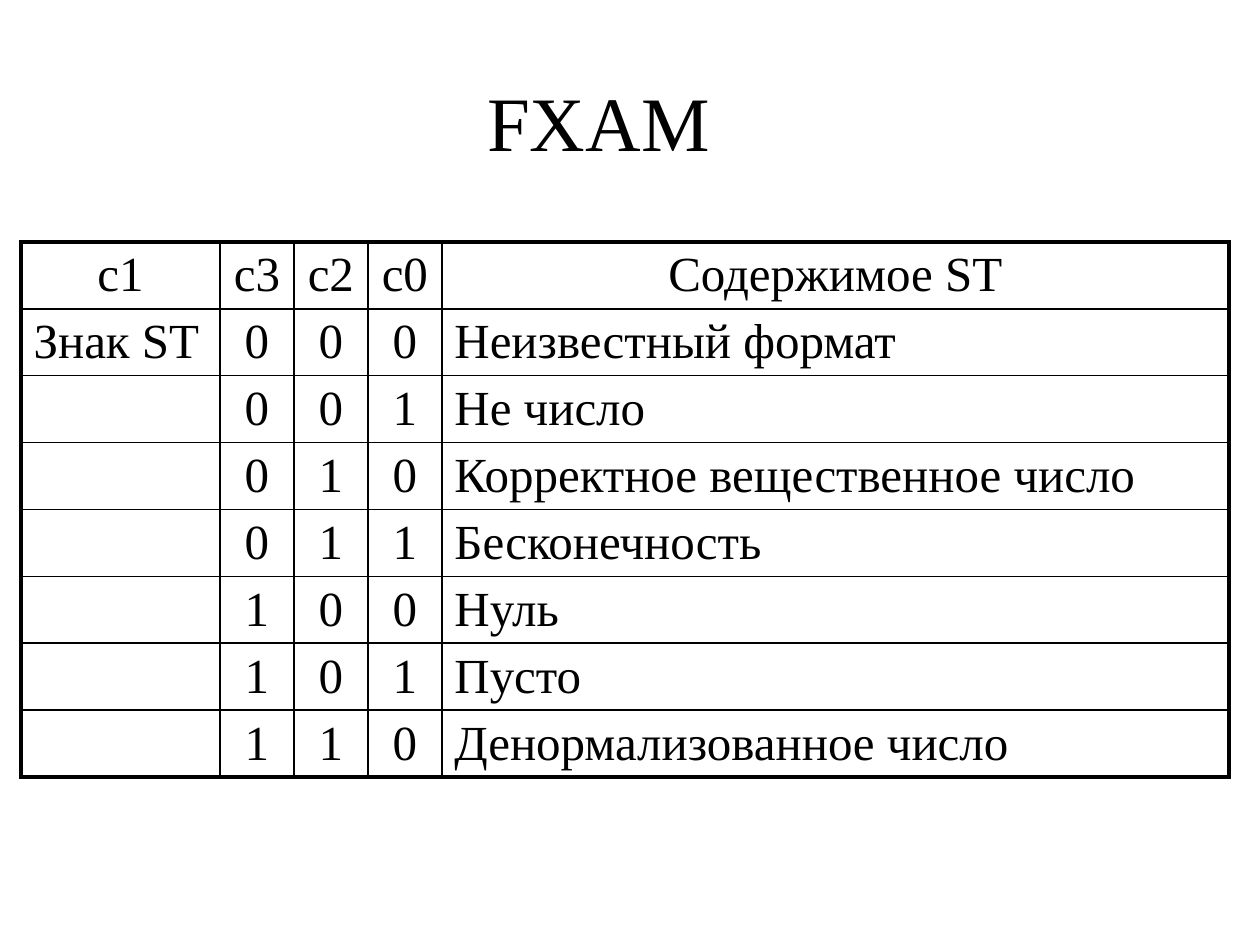
from lxml import etree
from pptx import Presentation
from pptx.dml.color import RGBColor
from pptx.enum.text import MSO_ANCHOR, PP_ALIGN
from pptx.oxml.ns import qn
from pptx.util import Pt

PX = 914400 / 126
CENTER, LEFT = PP_ALIGN.CENTER, PP_ALIGN.LEFT
MIDDLE = MSO_ANCHOR.MIDDLE
TITLE_ONLY = 5

HEADER = ["c1", "c3", "c2", "c0", "Содержимое ST"]
CONTENTS = ["Неизвестный формат", "Не число", "Корректное вещественное число",
            "Бесконечность", "Нуль", "Пусто", "Денормализованное число"]
COLUMN_WIDTHS = [199, 74, 74, 74, 787]
ROW_HEIGHT = 63


def px(length):
    return round(length * PX)


def color(value):
    return RGBColor.from_string(value)


def condition_rows():
    """Header, then one row per content with its number as three bits."""
    rows = [HEADER]
    for code, content in enumerate(CONTENTS):
        sign = "Знак ST" if code == 0 else ""
        rows.append([sign, *f"{code:03b}", content])
    return rows


class SlideBuilder:
    font = "Times New Roman"
    ink = "000000"
    paper = "FFFFFF"
    title_size, cell_size = 44, 28
    outer_line, inner_line = 2.25, 1

    def __init__(self, page):
        self.page = page

    def set_text(self, frame, text, size, align):
        para = frame.paragraphs[0]
        para.alignment = align
        if not text:
            return
        span = para.add_run()
        span.text = text
        span.font.color.rgb = color(self.ink)
        for name, value in {"name": self.font, "size": Pt(size), "bold": False}.items():
            setattr(span.font, name, value)

    def title(self, text, left, top, width, height):
        box = self.page.shapes.title
        place = {"left": left, "top": top, "width": width, "height": height}
        for name, value in place.items():
            setattr(box, name, px(value))
        box.text_frame.vertical_anchor = MIDDLE
        self.set_text(box.text_frame, text, self.title_size, CENTER)

    def borders(self, cell, edges):
        """Draw the cell sides; edges tells for each side if it is on the outside."""
        properties = cell._tc.get_or_add_tcPr()
        for side, outside in edges.items():
            width = self.outer_line if outside else self.inner_line
            line = etree.SubElement(properties, qn(f"a:ln{side}"), w=str(Pt(width)))
            fill = etree.SubElement(line, qn("a:solidFill"))
            etree.SubElement(fill, qn("a:srgbClr"), val=self.ink)

    def table(self, rows, left, top, widths, row_height):
        last_row, last_column = len(rows) - 1, len(widths) - 1
        frame = self.page.shapes.add_table(
            len(rows), len(widths), px(left), px(top),
            px(sum(widths)), px(row_height * len(rows)))
        table = frame.table
        table.first_row = table.horz_banding = False
        for column, width in zip(table.columns, widths):
            column.width = px(width)
        for r, texts in enumerate(rows):
            for c, text in enumerate(texts):
                cell = table.cell(r, c)
                self.borders(cell, {"L": c == 0, "R": c == last_column,
                                    "T": r == 0, "B": r == last_row})
                cell.fill.solid()
                cell.fill.fore_color.rgb = color(self.paper)
                centered = r == 0 or 0 < c < last_column
                self.set_text(cell.text_frame, text, self.cell_size,
                              CENTER if centered else LEFT)


def main():
    deck = Presentation()
    deck.slide_width, deck.slide_height = px(1260), px(945)
    page = deck.slides.add_slide(deck.slide_layouts[TITLE_ONLY])
    builder = SlideBuilder(page)
    builder.title("FXAM", 63, 42, 1071, 158)
    builder.table(condition_rows(), 21, 242, COLUMN_WIDTHS, ROW_HEIGHT)
    deck.save("out.pptx")


if __name__ == "__main__":
    main()
